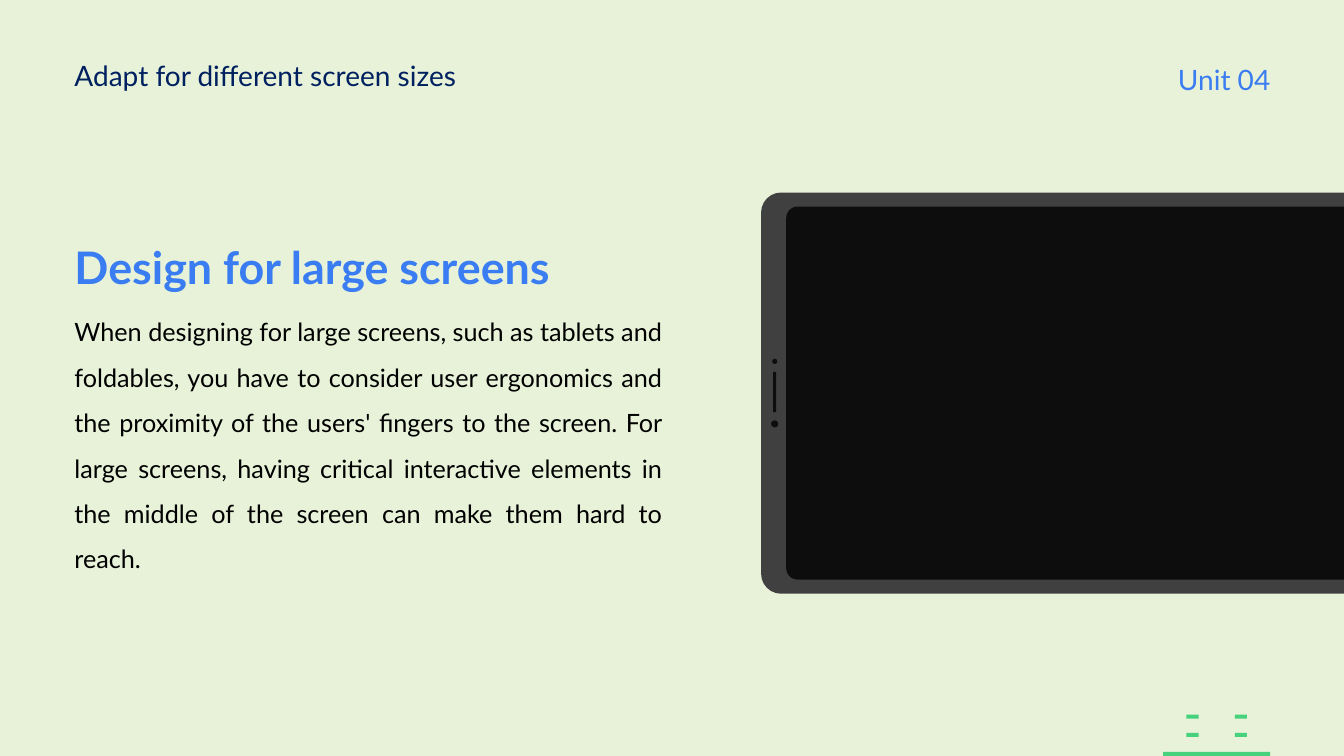
from pptx import Presentation
from pptx.dml.color import RGBColor
from pptx.enum.shapes import MSO_SHAPE
from pptx.enum.text import MSO_AUTO_SIZE, PP_ALIGN
from pptx.util import Inches, Pt

RECTANGLE = MSO_SHAPE.RECTANGLE
ROUNDED = MSO_SHAPE.ROUNDED_RECTANGLE
ELLIPSE = MSO_SHAPE.OVAL
LEFT, RIGHT, JUSTIFY = PP_ALIGN.LEFT, PP_ALIGN.RIGHT, PP_ALIGN.JUSTIFY

SLIDE_WIDTH, SLIDE_HEIGHT = Inches(13.33), Inches(7.5)
FONT = "Lato"
BACKGROUND, GREEN, BLUE, NAVY = "E7F2D8", "46D27C", "3A7CF1", "002060"
FRAME, SCREEN, BLACK = "404040", "0D0D0D", "000000"
MARGIN = 4.8

BODY = (
    "When designing for large screens, such as tablets and foldables, you have to "
    "consider user ergonomics and the proximity of the users' fingers to the screen. "
    "For large screens, having critical interactive elements in the middle of the "
    "screen can make them hard to reach."
)


def color(value):
    return RGBColor.from_string(value)


def place(left, top, width, height):
    """Turn percentages of the slide's width and height into lengths."""
    return (
        int(SLIDE_WIDTH * left / 100),
        int(SLIDE_HEIGHT * top / 100),
        int(SLIDE_WIDTH * width / 100),
        int(SLIDE_HEIGHT * height / 100),
    )


def add_filled(shapes, kind, area, fill, rounding=None):
    shape = shapes.add_shape(kind, *place(*area))
    shape.shadow.inherit = False
    shape.fill.solid()
    shape.fill.fore_color.rgb = color(fill)
    shape.line.fill.background()
    if rounding is not None:
        shape.adjustments[0] = rounding


def add_text_box(slide, area):
    frame = slide.shapes.add_textbox(*place(*area)).text_frame
    frame.word_wrap = True
    frame.auto_size = MSO_AUTO_SIZE.SHAPE_TO_FIT_TEXT
    return frame


def write(paragraph, text, size, font_color, alignment=LEFT, bold=False):
    paragraph.text = text
    paragraph.alignment = alignment
    paragraph.font.name = FONT
    paragraph.font.size = Pt(size)
    paragraph.font.bold = bold
    paragraph.font.color.rgb = color(font_color)


def add_green_bars(slide):
    add_filled(slide.shapes, RECTANGLE, (86.55, 99.47, 7.95, 26.27), GREEN)
    for top in (94.53, 96.93):
        for left in (88.28, 91.88):
            add_filled(slide.shapes, RECTANGLE, (left, top, 0.9, 0.53), GREEN)


def add_header(slide):
    title = add_text_box(slide, (MARGIN, 7.07, 36.98, 5.87))
    write(title.paragraphs[0], "Adapt for different screen sizes", 20, NAVY)
    unit = add_text_box(slide, (85.88, 7.6, 9.38, 5.87))
    write(unit.paragraphs[0], "Unit 04", 20, BLUE, RIGHT)


def add_body(slide):
    frame = add_text_box(slide, (MARGIN, 27.47, 45.22, 49.07))
    heading, body = frame.paragraphs[0], frame.add_paragraph()
    write(heading, "Design for large screens", 32, BLUE, JUSTIFY, bold=True)
    heading.space_after = Pt(6)
    write(body, BODY, 18, BLACK, JUSTIFY)
    for paragraph in (heading, body):
        paragraph.line_spacing = 1.5


def add_tablet(slide):
    add_filled(slide.shapes, ROUNDED, (56.63, 25.47, 46.95, 53.07), FRAME, 0.05)
    add_filled(slide.shapes, ROUNDED, (58.5, 27.33, 43.2, 49.33), SCREEN, 0.03)
    center = 57.64
    sensors = slide.shapes.add_group_shape().shapes
    for kind, top, width, height in (
        (ELLIPSE, 55.6, 0.53, 0.93),
        (ROUNDED, 49.2, 0.23, 5.33),
        (ELLIPSE, 47.47, 0.38, 0.67),
    ):
        add_filled(sensors, kind, (center - width / 2, top, width, height), SCREEN)


def main():
    presentation = Presentation()
    presentation.slide_width = SLIDE_WIDTH
    presentation.slide_height = SLIDE_HEIGHT
    slide = presentation.slides.add_slide(presentation.slide_layouts[6])
    slide.background.fill.solid()
    slide.background.fill.fore_color.rgb = color(BACKGROUND)
    add_green_bars(slide)
    add_header(slide)
    add_body(slide)
    add_tablet(slide)
    presentation.save("out.pptx")


if __name__ == "__main__":
    main()
